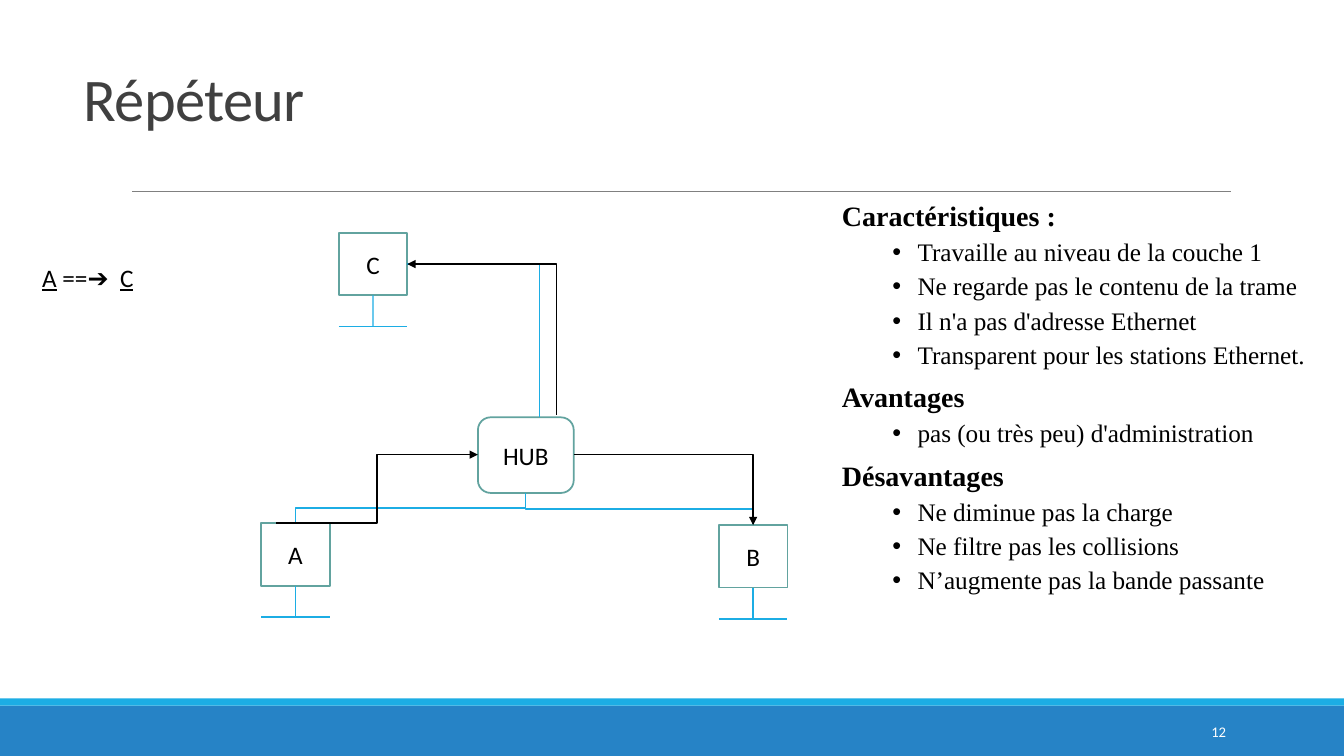
from pptx import Presentation
from pptx.dml.color import RGBColor
from pptx.enum.shapes import MSO_CONNECTOR, MSO_SHAPE
from pptx.enum.text import MSO_ANCHOR, MSO_AUTO_SIZE, PP_ALIGN
from pptx.oxml.ns import qn
from pptx.util import Inches, Pt
from lxml.etree import SubElement

BLUE, CYAN, TEAL = "2683C6", "1CADE4", "62A39F"
BLACK, WHITE, GREY, DARK = "000000", "FFFFFF", "808080", "404040"
CHARACTERISTICS = [
    ("Caractéristiques :", [
        "Travaille au niveau de la couche 1",
        "Ne regarde pas le contenu de la trame",
        "Il n'a pas d'adresse Ethernet",
        "Transparent pour les stations Ethernet.",
    ]),
    ("Avantages", ["pas (ou très peu) d'administration"]),
    ("Désavantages", [
        "Ne diminue pas la charge",
        "Ne filtre pas les collisions",
        "N’augmente pas la bande passante",
    ]),
]


def color(value):
    return RGBColor.from_string(value)


class SlideBuilder:
    font_name = "Calibri"
    list_font = "Times New Roman"

    def __init__(self, slide):
        self.slide = slide

    def style(self, paragraph, size, fill=BLACK, name=None, bold=False):
        font = paragraph.font
        font.name = name or self.font_name
        font.size = Pt(size)
        font.bold = bold
        font.color.rgb = color(fill)

    def place(self, shape, left, top, width, height, anchor):
        shape.left, shape.top = Inches(left), Inches(top)
        shape.width, shape.height = Inches(width), Inches(height)
        frame = shape.text_frame
        frame.word_wrap = True
        frame.auto_size = MSO_AUTO_SIZE.NONE
        frame.vertical_anchor = anchor
        return frame

    def title(self, text, *box):
        frame = self.place(self.slide.shapes.title, *box, MSO_ANCHOR.BOTTOM)
        paragraph = frame.paragraphs[0]
        run = paragraph.add_run()
        run.text = text
        run._r.get_or_add_rPr().set("spc", "-50")
        paragraph.alignment = PP_ALIGN.LEFT
        paragraph.line_spacing = 0.85
        self.style(paragraph, 43.2, DARK)

    def outline(self, sections, *box):
        frame = self.place(self.slide.placeholders[1], *box, MSO_ANCHOR.TOP)
        lines = []
        for heading, items in sections:
            lines.append((heading, 0))
            lines += [(item, 1) for item in items]
        for index, (text, level) in enumerate(lines):
            paragraph = frame.add_paragraph() if index else frame.paragraphs[0]
            paragraph.text = text
            paragraph.level = level
            paragraph.alignment = PP_ALIGN.JUSTIFY
            paragraph.line_spacing = 0.9
            paragraph.space_before = Pt(5 if level else 10)
            self.style(paragraph, 18 if level else 20, name=self.list_font, bold=not level)
            self.bullet(paragraph, level)

    def bullet(self, paragraph, level):
        properties = paragraph._p.get_or_add_pPr()
        properties.set("marL", str(Inches(0.75 * level)))
        properties.set("indent", str(Inches(-0.25 * level)))
        marker = SubElement(properties, qn("a:buChar" if level else "a:buNone"))
        if level:
            marker.set("char", "•")
        default_run = properties.find(qn("a:defRPr"))
        if default_run is not None:
            properties.append(default_run)

    def text(self, runs, left, top, width, height, size, fill=BLACK,
             alignment=PP_ALIGN.LEFT, anchor=MSO_ANCHOR.TOP):
        shape = self.slide.shapes.add_textbox(0, 0, 0, 0)
        frame = self.place(shape, left, top, width, height, anchor)
        paragraph = frame.paragraphs[0]
        paragraph.alignment = alignment
        self.style(paragraph, size, fill)
        for content, underlined in runs:
            run = paragraph.add_run()
            run.text = content
            if underlined:
                run.font.underline = True

    def box(self, preset, left, top, width, height, fill, border=None, label=None):
        shape = self.slide.shapes.add_shape(
            preset, Inches(left), Inches(top), Inches(width), Inches(height))
        shape.shadow.inherit = False
        shape.fill.solid()
        shape.fill.fore_color.rgb = color(fill)
        if border:
            shape.line.color.rgb = color(border)
            shape.line.width = Pt(1.25)
        else:
            shape.line.fill.background()
        if label:
            paragraph = shape.text_frame.paragraphs[0]
            paragraph.text = label
            paragraph.alignment = PP_ALIGN.CENTER
            self.style(paragraph, 18)
        return shape

    def line(self, begin, end, stroke=CYAN, width=1, kind=MSO_CONNECTOR.STRAIGHT, arrow=None):
        connector = self.slide.shapes.add_connector(
            kind, *(Inches(value) for value in (*begin, *end)))
        connector.line.color.rgb = color(stroke)
        connector.line.width = Pt(width)
        if arrow:
            SubElement(connector.line._get_or_add_ln(), qn(arrow)).set("type", "triangle")
        SubElement(connector._element.spPr, qn("a:effectLst"))
        return connector

    def elbow(self, begin, end, stroke=CYAN, arrow=None):
        return self.line(begin, end, stroke, kind=MSO_CONNECTOR.ELBOW, arrow=arrow)

    def corner(self, begin, end, stroke=CYAN, arrow=None):
        connector = self.elbow(begin, end, stroke, arrow)
        connector._element.spPr.find(qn("a:prstGeom")).set("prst", "bentConnector2")

    def drop(self, begin, end):
        middle_x, middle_y = (begin[0] + end[0]) / 2, (begin[1] + end[1]) / 2
        half_x, half_y = (end[0] - begin[0]) / 2, (end[1] - begin[1]) / 2
        connector = self.elbow(
            (middle_x - half_y, middle_y + half_x), (middle_x + half_y, middle_y - half_x))
        connector._element.spPr.find(qn("a:xfrm")).set("rot", "5400000")

    def station(self, label, left, top):
        width, height, stem = 0.68, 0.62, 0.31
        screen = self.box(MSO_SHAPE.RECTANGLE, left, top, width, height, WHITE, TEAL, label)
        center, bottom = left + width / 2, top + height
        foot = bottom + stem
        self.line((center, bottom), (center, foot)).begin_connect(screen, 2)
        self.line((left, foot), (left + width, foot))


def main():
    presentation = Presentation()
    presentation.slide_width, presentation.slide_height = Inches(13.33), Inches(7.5)
    builder = SlideBuilder(presentation.slides.add_slide(presentation.slide_layouts[1]))

    builder.box(MSO_SHAPE.RECTANGLE, 0, 7, 13.33, 0.5, BLUE)
    builder.box(MSO_SHAPE.RECTANGLE, 0, 6.93, 13.33, 0.07, CYAN)
    builder.line((1.31, 1.9), (12.21, 1.9), GREY, 0.5)
    builder.title("Répéteur", 0.73, 0.85, 11, 0.53)
    builder.text([("12", False)], 10.83, 7.06, 1.43, 0.4, 10.5, WHITE,
                 PP_ALIGN.RIGHT, MSO_ANCHOR.MIDDLE)

    hub_bottom = (5.21, 4.89)
    builder.drop(hub_bottom, (7.47, 5.21))
    builder.box(MSO_SHAPE.ROUNDED_RECTANGLE, 4.74, 4.14, 0.95, 0.75, WHITE, TEAL, "HUB")
    for label, left, top in [("C", 3.36, 2.31), ("A", 2.59, 5.19), ("B", 7.13, 5.21)]:
        builder.station(label, left, top)
    builder.drop(hub_bottom, (2.93, 5.19))
    builder.corner((4.04, 2.62), (5.35, 4.14))

    builder.elbow((2.74, 5.19), (4.74, 4.51), BLACK, "a:tailEnd")
    builder.corner((4.04, 2.62), (5.52, 4.12), BLACK, "a:headEnd")
    builder.corner((5.69, 4.51), (7.47, 5.21), BLACK, "a:tailEnd")

    builder.text([("A", True), (" ==➔  ", False), ("C", True)], 0.32, 2.55, 3.92, 0.4, 18)
    builder.outline(CHARACTERISTICS, 8.25, 1.96, 5.84, 4.51)
    presentation.save("out.pptx")


if __name__ == "__main__":
    main()
